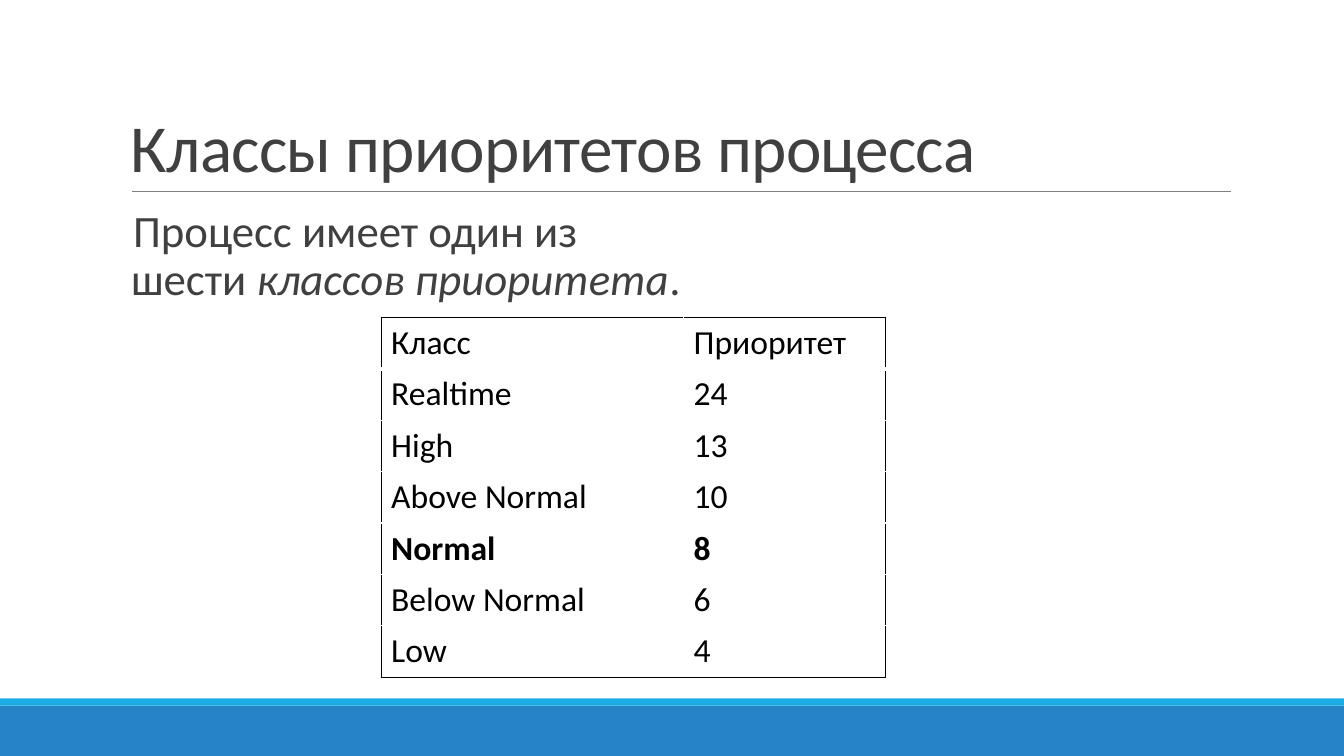
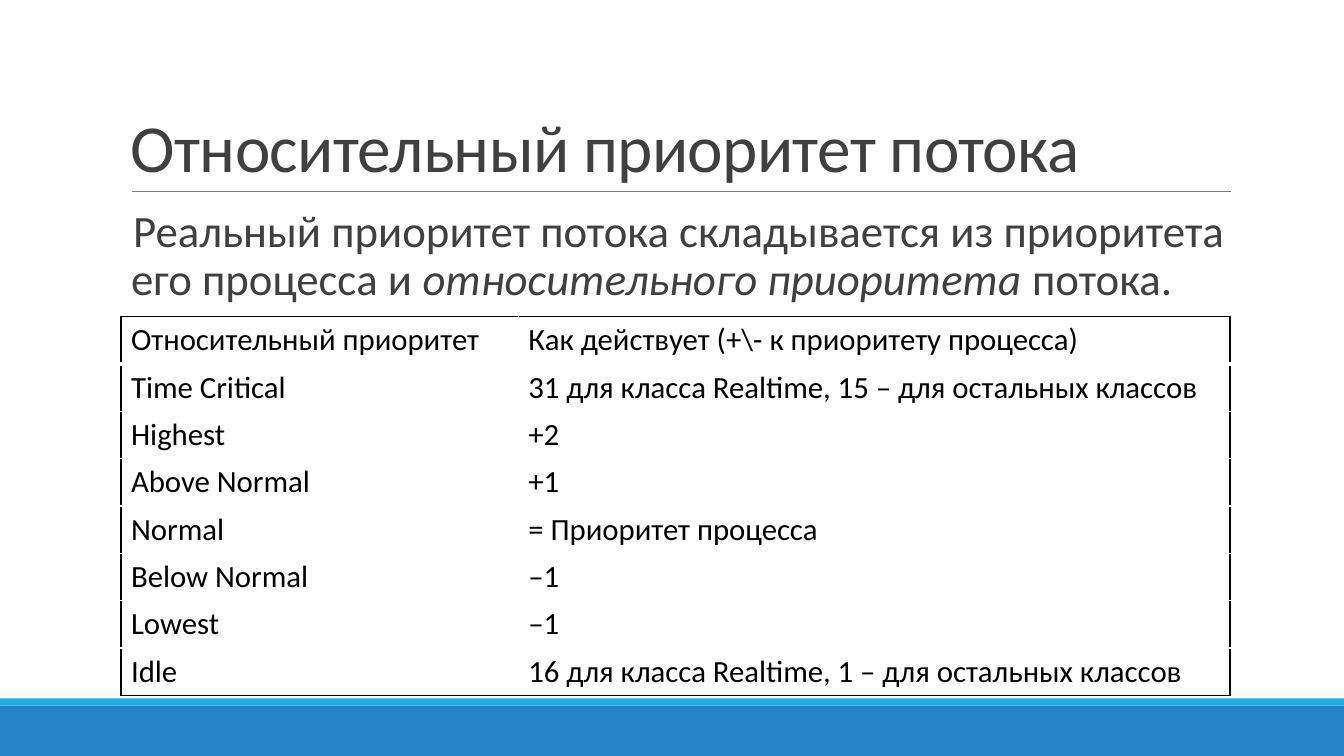
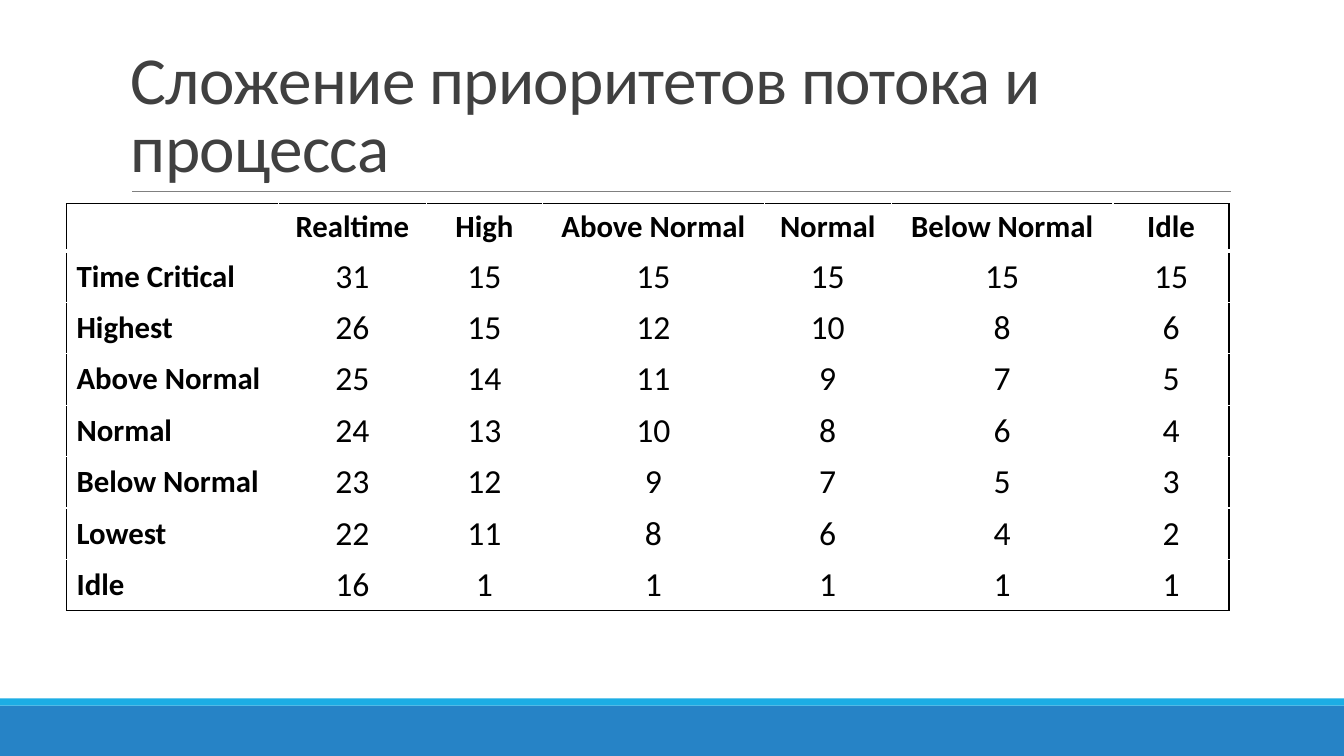
from lxml.etree import SubElement
from pptx import Presentation
from pptx.dml.color import RGBColor
from pptx.enum.shapes import MSO_CONNECTOR, MSO_SHAPE
from pptx.enum.text import MSO_ANCHOR, PP_ALIGN
from pptx.oxml.ns import qn
from pptx.util import Inches, Pt

FONT = "Calibri"
GREY, BLACK, WHITE = "404040", "000000", "FFFFFF"
RULE, BLUE, CYAN = "808080", "2683C6", "1CADE4"


def rgb(value):
    return RGBColor.from_string(value)


def add_text(slide, box, size, line_spacing, runs):
    tf = slide.shapes.add_textbox(*map(Inches, box)).text_frame
    tf.word_wrap = True
    p = tf.paragraphs[0]
    p.line_spacing = line_spacing
    p.font.name, p.font.size, p.font.color.rgb = FONT, Pt(size), rgb(GREY)
    for text, italic in runs:
        r = p.add_run()
        r.text = text
        if italic:
            r.font.italic = True
    return tf, p


slides = [
    {
        "title": "Классы приоритетов процесса",
        "body_width": 5.68,
        "body": [("Процесс имеет один из шести ", False),
                 ("классов приоритета", True), (".", False)],
        "at": (3.78, 3.15), "cols": [3, 2], "heights": (0.51, 0.51),
        "size": 24, "bold_row": 4, "matrix": False,
        "rows": [
            ["Класс", "Приоритет"],
            ["Realtime", "24"],
            ["High", "13"],
            ["Above Normal", "10"],
            ["Normal", "8"],
            ["Below Normal", "6"],
            ["Low", "4"],
        ],
    },
    {
        "title": "Относительный приоритет потока",
        "body_width": 11,
        "body": [("Реальный приоритет потока складывается из приоритета его процесса и\u00a0", False),
                 ("относительного приоритета", True), (" потока.", False)],
        "at": (1.2, 3.14), "cols": [3.94, 7.06], "heights": (0.47, 0.47),
        "size": 22, "bold_row": None, "matrix": False,
        "rows": [
            ["Относительный приоритет", "Как действует (+\\- к приоритету процесса)"],
            ["Time Critical", "31 для класса Realtime, 15 – для остальных классов"],
            ["Highest", "+2"],
            ["Above Normal", "+1"],
            ["Normal", "= Приоритет процесса"],
            ["Below Normal", "–1"],
            ["Lowest", "–1"],
            ["Idle", "16 для класса Realtime, 1 – для остальных классов"],
        ],
    },
    {
        "title": "Сложение приоритетов потока и процесса",
        "body": None,
        "at": (0.66, 2.02), "cols": [2.1, 1.47, 1.15, 2.2, 1.26, 2.2, 1.15],
        "heights": (0.47, 0.51),
        "size": 24, "bold_row": None, "matrix": True,
        "rows": [
            ["", "Realtime", "High", "Above Normal", "Normal", "Below Normal", "Idle"],
            ["Time Critical", "31", "15", "15", "15", "15", "15"],
            ["Highest", "26", "15", "12", "10", "8", "6"],
            ["Above Normal", "25", "14", "11", "9", "7", "5"],
            ["Normal", "24", "13", "10", "8", "6", "4"],
            ["Below Normal", "23", "12", "9", "7", "5", "3"],
            ["Lowest", "22", "11", "8", "6", "4", "2"],
            ["Idle", "16", "1", "1", "1", "1", "1"],
        ],
    },
]

prs = Presentation()
prs.slide_width, prs.slide_height = Inches(13.33), Inches(7.5)

for content in slides:
    slide = prs.slides.add_slide(prs.slide_layouts[6])

    for top, height, color in [(7, 0.5, BLUE), (6.93, 0.07, CYAN)]:
        band = slide.shapes.add_shape(MSO_SHAPE.RECTANGLE, 0, Inches(top),
                                      prs.slide_width, Inches(height))
        band.shadow.inherit = False
        band.fill.solid()
        band.fill.fore_color.rgb = rgb(color)
        band.line.fill.background()

    rule = slide.shapes.add_connector(MSO_CONNECTOR.STRAIGHT, Inches(1.31), Inches(1.9),
                                      Inches(12.21), Inches(1.9))
    rule.line.color.rgb, rule.line.width = rgb(RULE), Pt(0.5)
    SubElement(rule._element.spPr, qn("a:effectLst"))

    tf, p = add_text(slide, (1.2, 0.31, 11, 1.59), 48, 0.85, [(content["title"], False)])
    tf.vertical_anchor = MSO_ANCHOR.BOTTOM
    p.font._rPr.set("spc", "-50")

    if content["body"]:
        tf, p = add_text(slide, (1.2, 2.02, content["body_width"], 4.73), 32, 0.9,
                         content["body"])
        tf.margin_left = tf.margin_right = 0
        p.space_before, p.space_after = Pt(12), Pt(2)
        p._p.pPr.set("marL", str(Inches(0.1)))
        p._p.pPr.set("indent", str(Inches(0.02)))

    rows, cols = content["rows"], content["cols"]
    header_height, row_height = content["heights"]
    heights = [header_height] + [row_height] * (len(rows) - 1)
    table = slide.shapes.add_table(len(rows), len(cols), *map(Inches, content["at"]),
                                   Inches(sum(cols)), Inches(sum(heights))).table
    table.first_row = table.horz_banding = False
    for column, width in zip(table.columns, cols):
        column.width = Inches(width)

    for i, (row, height) in enumerate(zip(rows, heights)):
        table.rows[i].height = Inches(height)
        for j, text in enumerate(row):
            cell = table.cell(i, j)
            label = content["matrix"] and (i == 0 or j == 0)
            p = cell.text_frame.paragraphs[0]
            p.text = text
            p.font.name, p.font.color.rgb = FONT, rgb(BLACK)
            p.font.size = Pt(22 if label else content["size"])
            p.font.bold = label or i == content["bold_row"]
            if content["matrix"]:
                cell.vertical_anchor = MSO_ANCHOR.MIDDLE
                if j > 0:
                    p.alignment = PP_ALIGN.CENTER

            outer = {"lnL": j == 0, "lnR": j == len(cols) - 1,
                     "lnT": i == 0, "lnB": i == len(rows) - 1}
            for side, on_edge in outer.items():
                width = 3 if i == 0 and side == "lnB" else 1
                border = SubElement(cell._tc.get_or_add_tcPr(), qn("a:" + side),
                                    w=str(Pt(width)))
                fill = SubElement(border, qn("a:solidFill"))
                SubElement(fill, qn("a:srgbClr"), val=BLACK if on_edge else WHITE)
            cell.fill.solid()
            cell.fill.fore_color.rgb = rgb(WHITE)

prs.save("out.pptx")
